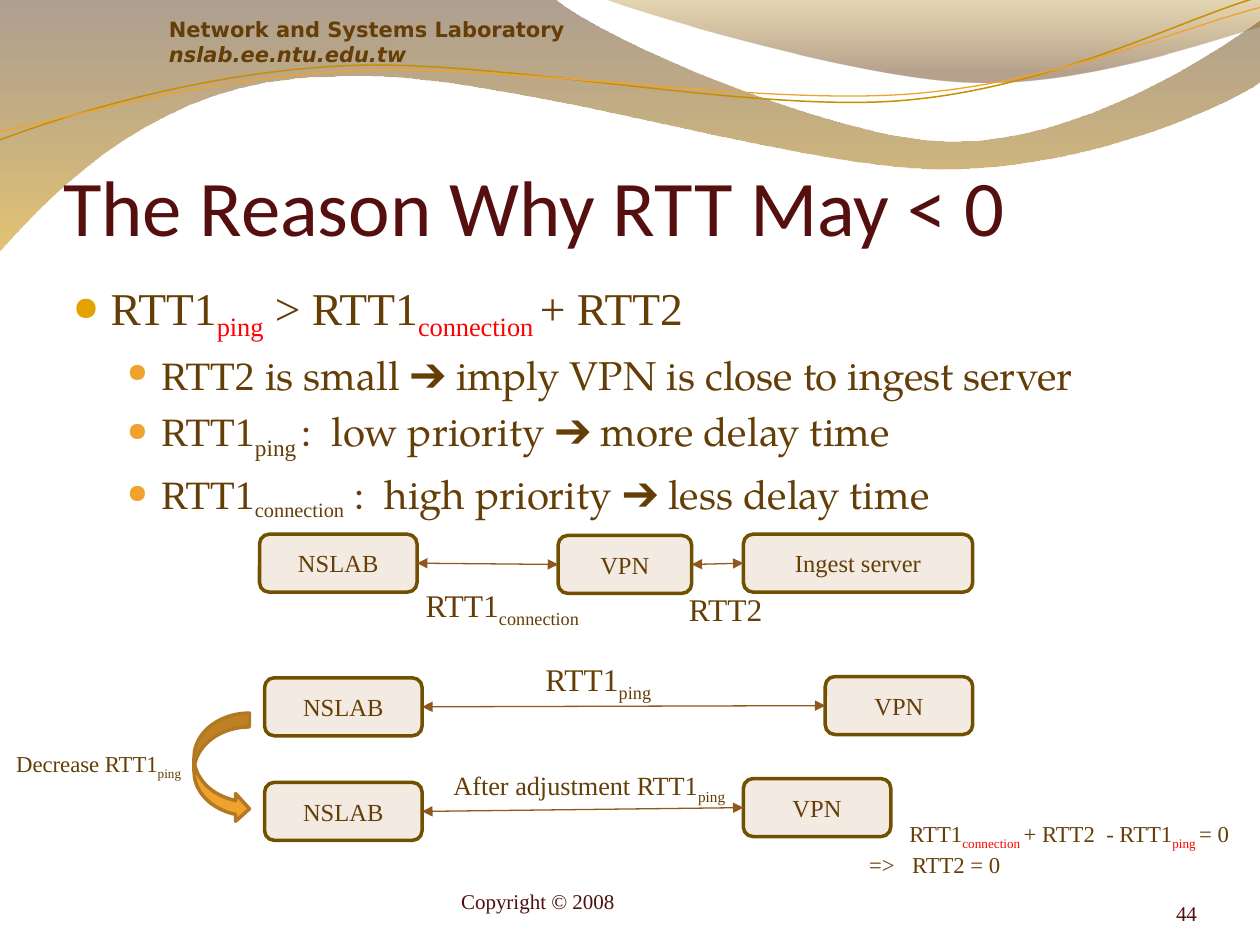
from math import cos, radians, sin
from lxml.etree import SubElement as Sub
from pptx import Presentation
from pptx.dml.color import RGBColor as RGB
from pptx.enum.shapes import MSO_CONNECTOR as Conn, MSO_SHAPE as Kind
from pptx.enum.text import MSO_ANCHOR as Anchor, PP_ALIGN as Align
from pptx.oxml.ns import qn
from pptx.util import Inches, Pt

BROWN, RED, WINE = RGB(0x64, 0x3E, 0x06), RGB(0xFF, 0, 0), RGB(0x52, 0x0E, 0x0E)
TITLE = RGB(0x56, 0x0F, 0x0F)
CREAM, EDGE, LINK = RGB(0xF3, 0xEA, 0xE2), RGB(0x71, 0x51, 0), RGB(0x90, 0x57, 0x1E)
GOLD, AMBER, RUST = RGB(0xE2, 0xA2, 0), RGB(0xF0, 0xA2, 0x2E), RGB(0xB2, 0x78, 0x22)
OCHRE, DARK, SAND = RGB(0xC7, 0x8F, 0), RGB(0x4D, 0x2B, 0x09), RGB(0xCD, 0x93, 0)
OLIVE, EARTH = RGB(0xA7, 0x78, 0), RGB(0x62, 0x33, 0x04)
TIMES, PAGELLA = "Times New Roman", "TeX Gyre Pagella"

# Waves: start, then points (2 numbers) or curves (6 numbers); stops are place, colour, opacity
BANDS = [
    ((0, 0), [(4.4, -0.01), (4.76, 0.3, 6.64, 1.12, 7.58, 1.12),
              (8.53, 1.12, 9.58, 0.46, 10, 0.16), (10.01, 0.64),
              (9.83, 0.78, 8.7, 1.34, 7.46, 1.34), (6.22, 1.33, 3.82, 0.5, 2.57, 0.61),
              (1.29, 0.63, 0.46, 1.47, -0.01, 2)],
     [(0, DARK, 45), (1, SAND, 55)]),
    ((4.79, -0.01), [(5.09, 0.11, 6.82, 0.62, 7.69, 0.65),
                     (8.56, 0.69, 9.61, 0.32, 10, 0.21), (10, 0)],
     [(0, OLIVE, 30), (0.8, EARTH, 45)]),
]
# Thin curves: start, curves, centre of the turned box, colour, width
TILT = -2.7
CURVES = [
    ((0, 1.11), [(0.48, 0.93, 1.58, 0.57, 2.77, 0.52), (3.95, 0.47, 5.93, 0.89, 7.13, 0.8),
                 (8.33, 0.71, 9.38, 0.15, 9.98, -0.02)], (4.99, 0.58), OCHRE, 0.85),
    ((0, 1.04), [(0.47, 0.96, 1.64, 0.61, 2.83, 0.56), (4.03, 0.51, 5.97, 0.83, 7.17, 0.75),
                 (8.36, 0.67, 9.41, 0.21, 10, 0.06)], (5, 0.59), AMBER, 0.75),
]

# Styles of runs, used as (text, style)
PALA, LOW, LOW20 = {"font": PAGELLA}, {"low": True}, {"low": True, "size": 20}
HOT = {"low": True, "color": RED}
BODY = [
    (0, [("RTT1", {}), ("ping", HOT), (" > RTT1", {}), ("connection ", HOT), ("+ RTT2", {})]),
    (1, [("RTT2", {}), (" is small ➔ imply VPN is close to ingest server", PALA)]),
    (1, [("RTT1", {}), ("ping", LOW), (" ", LOW20),
         (":  low priority ➔ more delay time", PALA)]),
    (1, [("RTT1", {}), ("connection", LOW20), (" :  high priority ➔ less delay time", PALA)]),
]
# Size, left margin, hang, bullet colour, bullet size of each level
LEVELS = [(26, 0.3, 0.3, GOLD, 73), (23, 0.7, 0.27, AMBER, 65)]

# Rows of boxes: (text, left, top, width), linked left to right
ROWS = [
    [("NSLAB", 2.06, 4.24, 1.25), ("VPN", 4.43, 4.25, 1.06), ("Ingest server", 5.9, 4.24, 1.82)],
    [("NSLAB", 2.1, 5.38, 1.25), ("VPN", 6.55, 5.37, 1.17)],
    [("NSLAB", 2.1, 6.21, 1.25), ("VPN", 5.9, 6.18, 1.17)],
]
LABELS = [
    ((3.28, 4.6, 1.77, 0.4), 18, [("RTT1", {}), ("connection", LOW)]),
    ((5.37, 4.63, 1.07, 0.4), 18, [("RTT2", {})]),
    ((4.23, 5.19, 1.55, 0.71), 18, [("RTT1", {}), ("ping", LOW)]),
    ((3.5, 6.06, 3.01, 0.61), 15, [("After adjustment RTT1", {}), ("ping", LOW)]),
    ((0.03, 5.9, 1.64, 0.32), 13, [("Decrease RTT1", {}), ("ping", LOW)]),
]
# Left margin, hang, runs
SUM = [
    (0.32, 0, [("RTT1", {}), ("connection ", HOT), ("+ RTT2  - RTT1", {}), ("ping ", HOT),
               ("= 0", {})]),
    (0.34, 0.34, [("=>\tRTT2 = 0", {})]),
]

deck = Presentation()
deck.slide_width, deck.slide_height = Inches(10), Inches(7.5)
slide = deck.slides.add_slide(deck.slide_layouts[5])
shapes = slide.shapes


def write(par, runs, size, color=BROWN, font=TIMES):
    for text, style in runs:
        run = par.add_run()
        run.text = text
        face = run.font
        face.size = Pt(style.get("size", size))
        face.name = style.get("font", font)
        face.color.rgb = style.get("color", color)
        if style.get("low"):
            run._r.get_or_add_rPr().set("baseline", "-25000")


def add_text(at, anchor=Anchor.TOP, inset=(0.1, 0.05)):
    frame = shapes.add_textbox(*map(Inches, at)).text_frame
    frame.word_wrap, frame.vertical_anchor = True, anchor
    frame.margin_left = frame.margin_right = Inches(inset[0])
    frame.margin_top = frame.margin_bottom = Inches(inset[1])
    return frame


def indent(par, left, hang):
    props = par._p.get_or_add_pPr()
    props.set("marL", str(Inches(left)))
    props.set("indent", str(-Inches(hang)))
    return props


def trace(start, steps, close):
    """Outline through all points; each six-number step becomes one cubic curve."""
    dots = [step[i:i + 2] for step in steps for i in range(0, len(step), 2)]
    pen = shapes.build_freeform(Inches(start[0]), Inches(start[1]))
    pen.add_line_segments([(Inches(x), Inches(y)) for x, y in dots], close=close)
    shape = pen.convert_to_shape()
    shape.shadow.inherit = False
    lines = iter(list(shape._element.iter(qn("a:lnTo"))))
    for step in steps:
        first = next(lines)
        if len(step) == 6:
            first.tag = qn("a:cubicBezTo")
            for line in (next(lines), next(lines)):
                first.append(line[0])
                line.getparent().remove(line)
    return shape


def turn(step, mid, angle):
    """Turn every point of a step about mid."""
    c, s = cos(radians(angle)), sin(radians(angle))
    out = []
    for x, y in zip(step[::2], step[1::2]):
        dx, dy = x - mid[0], y - mid[1]
        out += [mid[0] + dx * c - dy * s, mid[1] + dx * s + dy * c]
    return tuple(out)


# Wave header
for start, steps, stops in BANDS:
    band = trace(start, steps, True)
    band.line.fill.background()
    band.fill.gradient()
    band.fill.gradient_angle = 270
    for stop, (place, color, alpha) in zip(band.fill.gradient_stops, stops):
        stop.position, stop.color.rgb = place, color
        tint = stop._gs.find(qn("a:srgbClr"))
        Sub(tint, qn("a:alpha")).set("val", str(alpha * 1000))
for start, steps, mid, color, width in CURVES:
    flat = [turn(step, mid, -TILT) for step in [start] + steps]
    curve = trace(flat[0], flat[1:], False)
    curve.rotation = TILT
    curve.fill.background()
    curve.line.color.rgb, curve.line.width = color, Pt(width)

frame = add_text((1.25, 0.09, 3.75, 0.49), inset=(0.09, 0.04))
for i, text in enumerate(["Network and Systems Laboratory", "nslab.ee.ntu.edu.tw"]):
    par = frame.add_paragraph() if i else frame.paragraphs[0]
    write(par, [(text, {})], 12, font="DejaVu Sans")
    par.runs[0].font.bold, par.runs[0].font.italic = True, bool(i)

# Title, above the waves
title = shapes.title
shapes._spTree.append(title._element)
title.left, title.top, title.width, title.height = map(Inches, (0.5, 1.34, 9.69, 0.66))
frame = title.text_frame
frame.vertical_anchor = Anchor.BOTTOM
frame.margin_left = frame.margin_right = frame.margin_bottom = 0
frame.paragraphs[0].alignment = Align.LEFT
write(frame.paragraphs[0], [("The Reason Why RTT May < 0", {})], 45, TITLE, "Calibri")

# Bulleted body
frame = add_text((0.48, 2.17, 9.52, 4.29))
for i, (level, runs) in enumerate(BODY):
    par = frame.add_paragraph() if i else frame.paragraphs[0]
    size, left, hang, color, scale = LEVELS[level]
    par.level, par.space_before = level, Pt(size * 0.2 if i else 0)
    props = indent(par, left, hang)
    Sub(Sub(props, qn("a:buClr")), qn("a:srgbClr")).set("val", str(color))
    Sub(props, qn("a:buSzPct")).set("val", str(scale * 1000))
    Sub(props, qn("a:buChar")).set("char", "●")
    write(par, runs, size)

# Boxes and their links
for row in ROWS:
    prior = None
    for text, left, top, width in row:
        box = shapes.add_shape(Kind.ROUNDED_RECTANGLE, *map(Inches, (left, top, width, 0.46)))
        box.shadow.inherit = False
        box.fill.solid()
        box.fill.fore_color.rgb = CREAM
        box.line.color.rgb, box.line.width = EDGE, Pt(2)
        box.text_frame.vertical_anchor = Anchor.MIDDLE
        par = box.text_frame.paragraphs[0]
        par.alignment = Align.CENTER
        write(par, [(text, {})], 14)
        if prior:
            link = shapes.add_connector(Conn.STRAIGHT, 0, 0, 0, 0)
            link.begin_connect(prior, 3)
            link.end_connect(box, 1)
            link.line.color.rgb, link.line.width = LINK, Pt(0.75)
            for end in ("a:headEnd", "a:tailEnd"):
                Sub(link.line._get_or_add_ln(), qn(end)).set("type", "triangle")
            Sub(link._element.spPr, qn("a:effectLst"))
        prior = box

# Labels, bent arrow and sum
for at, size, runs in LABELS:
    write(add_text(at).paragraphs[0], runs, size)

arrow = shapes.add_shape(Kind.CURVED_RIGHT_ARROW, *map(Inches, (1.54, 5.66, 0.44, 0.87)))
arrow.shadow.inherit = False
arrow.fill.solid()
arrow.fill.fore_color.rgb = AMBER
arrow.line.color.rgb, arrow.line.width = RUST, Pt(2)

frame = add_text((6.8, 6.46, 3.2, 0.54))
for i, (left, hang, runs) in enumerate(SUM):
    par = frame.add_paragraph() if i else frame.paragraphs[0]
    indent(par, left, hang)
    write(par, runs, 13)

# Footer
for at, anchor, align, text in [
    ((3.66, 6.95, 3.67, 0.4), Anchor.MIDDLE, Align.LEFT, "Copyright © 2008"),
    ((8.67, 6.95, 0.83, 0.4), Anchor.BOTTOM, Align.RIGHT, "44"),
]:
    par = add_text(at, anchor, (0, 0)).paragraphs[0]
    par.alignment = align
    write(par, [(text, {})], 12, WINE)

deck.save("out.pptx")
